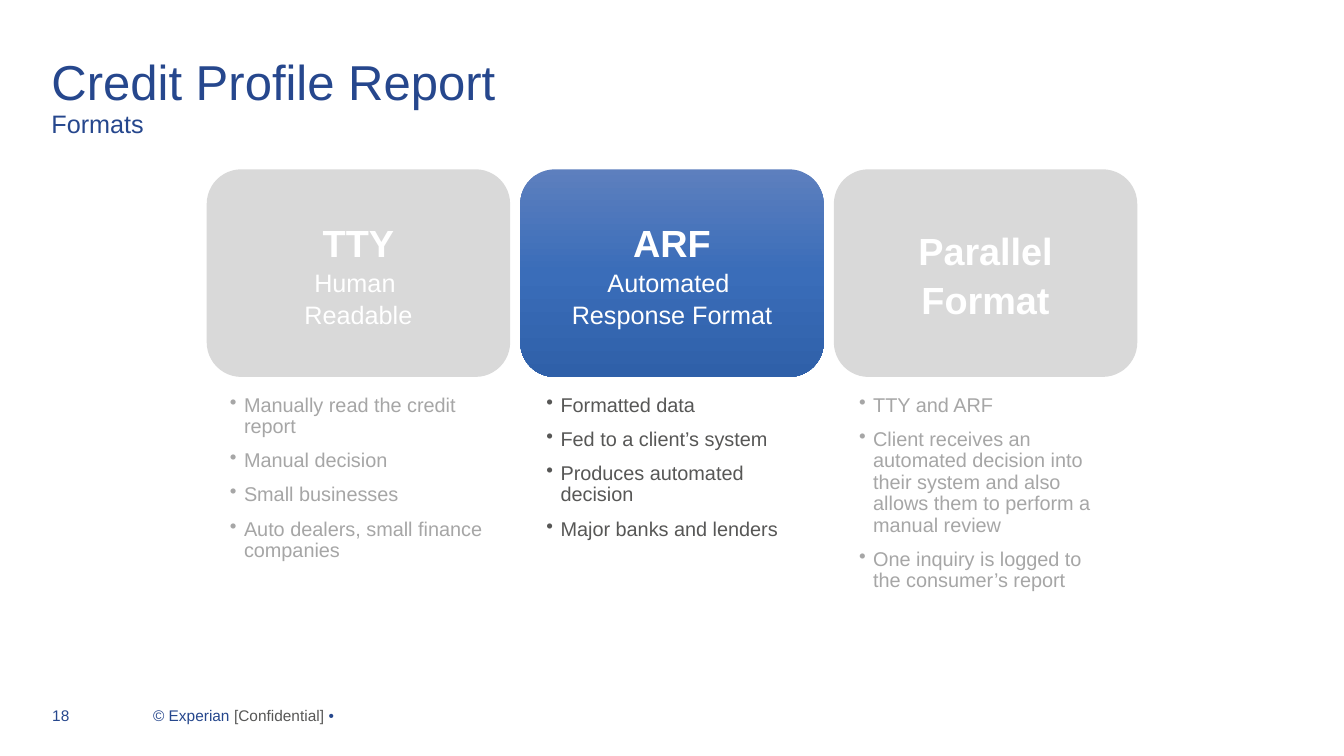
from copy import deepcopy

from lxml import etree
from pptx import Presentation
from pptx.dml.color import RGBColor
from pptx.enum.shapes import MSO_SHAPE
from pptx.enum.text import MSO_ANCHOR, PP_ALIGN
from pptx.oxml.ns import qn
from pptx.util import Inches, Pt

ROUNDED = MSO_SHAPE.ROUNDED_RECTANGLE
TOP, MIDDLE = MSO_ANCHOR.TOP, MSO_ANCHOR.MIDDLE
LEFT, CENTER = PP_ALIGN.LEFT, PP_ALIGN.CENTER

NAVY = RGBColor(0x26, 0x47, 0x8D)
TEXT = RGBColor(0x57, 0x57, 0x56)
MUTED = RGBColor(0xA6, 0xA6, 0xA6)
CARD_GREY = RGBColor(0xD9, 0xD9, 0xD9)
WHITE = RGBColor(0xFF, 0xFF, 0xFF)
CARD_BLUES = [RGBColor(0x5D, 0x7F, 0xBE), RGBColor(0x3A, 0x6D, 0xB9), RGBColor(0x2F, 0x60, 0xA9)]

CARD_LEFT, CARD_PITCH = 2.05, 3.11
FORMATS = [
    {"title": ["TTY"], "subtitle": "Human \vReadable", "active": False,
     "list_left": 2.05, "list_width": 2.99,
     "points": ["Manually read the credit report", "Manual decision", "Small businesses",
                "Auto dealers, small finance companies"]},
    {"title": ["ARF"], "subtitle": "Automated \vResponse Format", "active": True,
     "list_left": 5.19, "list_width": 2.95,
     "points": ["Formatted data", "Fed to a client’s system", "Produces automated decision",
                "Major banks and lenders"]},
    {"title": ["Parallel", "Format"], "subtitle": None, "active": False,
     "list_left": 8.29, "list_width": 2.95,
     "points": ["TTY and ARF",
                "Client receives an automated decision into their system and also "
                "allows them to perform a manual review",
                "One inquiry is logged to the consumer’s report"]},
]


def style_run(r, size, color, bold=False):
    """Set the font of one run."""
    r.font.name = "Arial"
    r.font.size = Pt(size)
    r.font.bold = bold
    r.font.color.rgb = color


def set_insets(tf, horizontal, vertical):
    """Wrap the text and set its margins in inches."""
    tf.word_wrap = True
    tf.margin_left = tf.margin_right = Inches(horizontal)
    tf.margin_top = tf.margin_bottom = Inches(vertical)


def add_title(s, left, top, width, height):
    """Place the heading and its smaller second line in the title placeholder."""
    sp = s.shapes.title
    sp.left, sp.top, sp.width, sp.height = map(Inches, (left, top, width, height))
    tf = sp.text_frame
    set_insets(tf, 0, 0)
    tf.vertical_anchor = TOP
    p = tf.paragraphs[0]
    p.text = "Credit Profile Report\vFormats"
    p.alignment = LEFT
    p.line_spacing = 0.9
    for r, size in zip(p.runs, (35, 18)):
        style_run(r, size, NAVY)
    p._p.find(qn("a:br")).append(deepcopy(p.runs[0].font._element))


def fill_gradient(sp, colors):
    """Fill a shape from top to bottom with evenly spaced colours."""
    sp.fill.gradient()
    sp.fill.gradient_angle = 270
    stops = sp._element.spPr.find(".//" + qn("a:gsLst"))
    while len(stops) < len(colors):
        stops.append(deepcopy(stops[-1]))
    for i, (stop, color) in enumerate(zip(sp.fill.gradient_stops, colors)):
        stop.position = i / (len(colors) - 1)
        stop.color.rgb = color


def add_card(s, fmt, left, top, width, height):
    """Draw the rounded card that names one format."""
    sp = s.shapes.add_shape(ROUNDED, *map(Inches, (left, top, width, height)))
    sp.shadow.inherit = False
    sp.line.fill.background()
    if fmt["active"]:
        fill_gradient(sp, CARD_BLUES)
    else:
        sp.fill.solid()
        sp.fill.fore_color.rgb = CARD_GREY
    tf = sp.text_frame
    set_insets(tf, 0.07, 0.07)
    tf.vertical_anchor = MIDDLE
    lines = [(text, 27, True) for text in fmt["title"]]
    if fmt["subtitle"]:
        lines.append((fmt["subtitle"], 18, False))
    for i, (text, size, bold) in enumerate(lines):
        p = tf.add_paragraph() if i else tf.paragraphs[0]
        p.text = text
        p.alignment = CENTER
        p.line_spacing = 1.07
        for r in p.runs:
            style_run(r, size, WHITE, bold)


def add_bullets(s, points, color, left, top, width, height):
    """Write the bulleted points below a card."""
    tf = s.shapes.add_textbox(*map(Inches, (left, top, width, height))).text_frame
    set_insets(tf, 0.23, 0.07)
    for i, point in enumerate(points):
        p = tf.add_paragraph() if i else tf.paragraphs[0]
        p.text = point
        p.line_spacing = 0.9
        p.space_before = Pt(4.5 if i else 0)
        p.space_after = Pt(4.5)
        pPr = p._p.get_or_add_pPr()
        pPr.set("marL", str(Inches(0.14)))
        pPr.set("indent", str(-Inches(0.14)))
        etree.SubElement(pPr, qn("a:buChar")).set("char", "•")
        style_run(p.runs[0], 14.2, color)


def add_footer(s, left, top, width, height):
    """Write the page number and the copyright line."""
    tf = s.shapes.add_textbox(*map(Inches, (left, top, width, height))).text_frame
    set_insets(tf, 0.1, 0.05)
    p = tf.paragraphs[0]
    tabs = etree.SubElement(p._p.get_or_add_pPr(), qn("a:tabLst"))
    etree.SubElement(tabs, qn("a:tab"), pos=str(Inches(1)), algn="l")
    for text, color in (("18\t© Experian ", NAVY), ("[Confidential] ", TEXT), ("•", NAVY)):
        r = p.add_run()
        r.text = text
        style_run(r, 11, color)


def main():
    """Build the slide and save it."""
    prs = Presentation()
    prs.slide_width, prs.slide_height = Inches(13.33), Inches(7.5)
    s = prs.slides.add_slide(prs.slide_layouts[5])
    add_title(s, 0.51, 0.58, 12.31, 1.1)
    for i, fmt in enumerate(FORMATS):
        add_card(s, fmt, CARD_LEFT + i * CARD_PITCH, 1.68, 3.01, 2.06)
        color = TEXT if fmt["active"] else MUTED
        add_bullets(s, fmt["points"], color, fmt["list_left"], 3.85, fmt["list_width"], 2.46)
    add_footer(s, 0.42, 6.96, 8.63, 0.29)
    prs.save("out.pptx")


if __name__ == "__main__":
    main()
